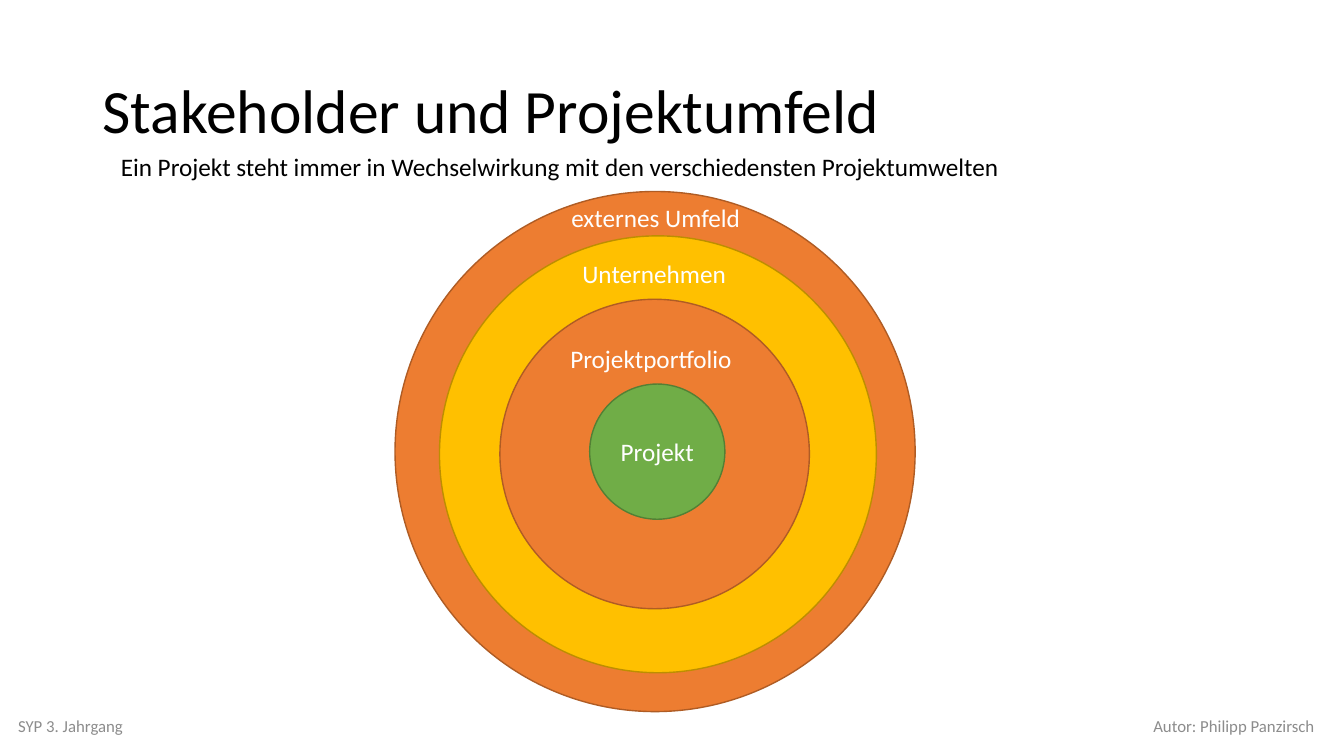
from dataclasses import dataclass

from pptx import Presentation
from pptx.dml.color import RGBColor
from pptx.enum.shapes import MSO_SHAPE
from pptx.enum.text import MSO_ANCHOR, PP_ALIGN
from pptx.util import Pt


@dataclass(frozen=True)
class Theme:
    """Colours, font and type sizes of the slide."""
    font: str = "Calibri"
    title_size: int = 44
    body_size: int = 18
    footer_size: int = 12
    black: str = "000000"
    white: str = "FFFFFF"
    grey: str = "8C8C8C"
    orange: tuple = ("ED7D31", "AF5C24")
    yellow: tuple = ("FFC000", "BD8E00")
    green: tuple = ("70AD47", "538035")


THEME = Theme()


def write(sp, text, size, color, align=PP_ALIGN.LEFT, anchor=MSO_ANCHOR.TOP):
    """Put one styled paragraph into a shape and return it."""
    tf = sp.text_frame
    tf.word_wrap = True
    tf.vertical_anchor = anchor
    p = tf.paragraphs[0]
    p.text = text
    p.alignment = align
    p.font.name = THEME.font
    p.font.size = Pt(size)
    p.font.color.rgb = RGBColor.from_string(color)
    return p


def add_text(s, box, text, size, color, **layout):
    """Add a text box at a box in points and return its paragraph."""
    return write(s.shapes.add_textbox(*map(Pt, box)), text, size, color, **layout)


def add_circle(s, left, top, diameter, colors):
    """Add a filled, outlined circle."""
    sp = s.shapes.add_shape(MSO_SHAPE.FLOWCHART_CONNECTOR,
                            Pt(left), Pt(top), Pt(diameter), Pt(diameter))
    fill, line = map(RGBColor.from_string, colors)
    sp.shadow.inherit = False
    sp.fill.solid()
    sp.fill.fore_color.rgb = fill
    sp.line.color.rgb = line
    sp.line.width = Pt(1)
    return sp


def add_header(s, left, top, width, height):
    """Add the title and the statement below it."""
    p = add_text(s, (left, top, width, height), "Stakeholder und Projektumfeld",
                 THEME.title_size, THEME.black, anchor=MSO_ANCHOR.MIDDLE)
    p.line_spacing = 0.9
    add_text(s, (left + 13, top + 75.6, width - 13, 29),
             "Ein Projekt steht immer in Wechselwirkung mit den "
             "verschiedensten Projektumwelten", THEME.body_size, THEME.black)


def add_environments(s, left, top, size):
    """Add the nested project environments with their labels."""
    rings = [
        (0, 0, size, THEME.orange),
        (31.7, 31.7, size * 0.84, THEME.yellow),
        (74.9, 77, size * 0.595, THEME.orange),
        (139, 137.5, size * 0.26, THEME.green),
    ]
    for dx, dy, diameter, colors in rings:
        sp = add_circle(s, left + dx, top + dy, diameter, colors)
    write(sp, "Projekt", THEME.body_size, THEME.white,
          PP_ALIGN.CENTER, MSO_ANCHOR.MIDDLE)
    labels = [
        ("Projektportfolio", 118.1, 105.1, 138.2),
        ("Unternehmen", 126.7, 43.9, 117.4),
        ("externes Umfeld", 118.8, 4.3, 138.2),
    ]
    for text, dx, dy, width in labels:
        add_text(s, (left + dx, top + dy, width, 29), text,
                 THEME.body_size, THEME.white)


def add_footer(s, left, top, width, height):
    """Add the course on the left and the author on the right."""
    note_width = 324
    notes = [
        ("SYP 3. Jahrgang", left, PP_ALIGN.LEFT),
        ("Autor: Philipp Panzirsch", left + width - note_width, PP_ALIGN.RIGHT),
    ]
    for text, x, align in notes:
        add_text(s, (x, top, note_width, height), text, THEME.footer_size,
                 THEME.grey, align=align, anchor=MSO_ANCHOR.MIDDLE)


def main():
    """Build and save the slide."""
    prs = Presentation()
    prs.slide_width, prs.slide_height = Pt(960), Pt(540)
    s = prs.slides.add_slide(prs.slide_layouts[6])
    add_header(s, 66.2, 28.8, 828, 104.4)
    add_environments(s, 282.2, 136.8, 371.5)
    add_footer(s, 5.8, 504, 940.3, 28.8)
    prs.save("out.pptx")


if __name__ == "__main__":
    main()
